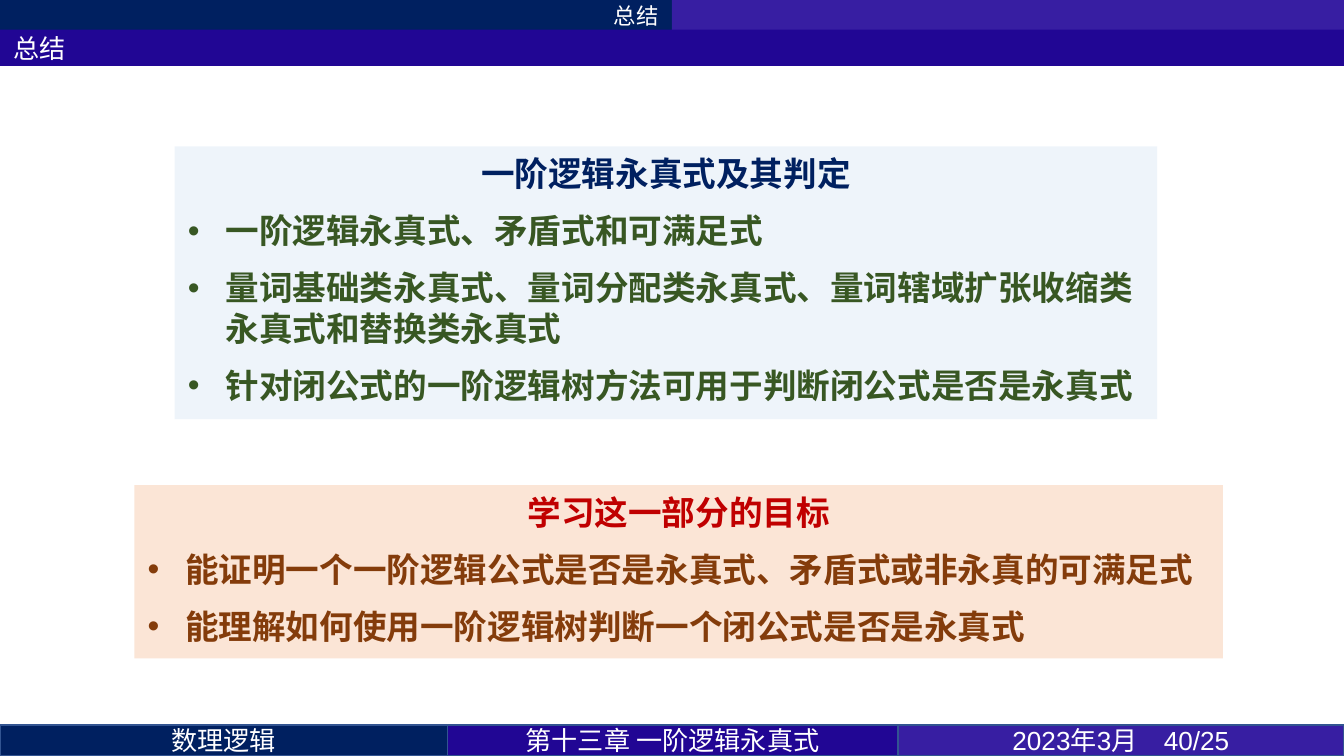
import pptx
import pptx.dml.color
import pptx.enum.lang
import pptx.enum.shapes
import pptx.enum.text
import pptx.oxml
import pptx.oxml.ns
import pptx.util
from pptx.util import Inches

THEME = {
    "navy": "002060", "indigo": "210694", "violet": "371EA2", "edge": "325491",
    "white": "FFFFFF", "sky": "DEEBF7", "peach": "FBE5D6",
    "green": "385723", "red": "C00000", "brown": "843C0B",
    "latin": "Calibri", "chinese": "Noto Sans CJK SC", "number": "Arial",
    "small": 12, "bar": 14, "body": 18, "line": 21.6, "gap": 4.5,
}
SLIDE_WIDTH = 10
SLIDE_HEIGHT = SLIDE_WIDTH * 9 / 16
BAR_HEIGHT, INDENT = 0.23, 0.28

# Content
HEADER = [
    # text, left, top, width, height, fill, alignment, font, size
    ("总结", 0, 0, 5, BAR_HEIGHT, "navy", "RIGHT", "chinese", "small"),
    ("", 5, 0, 5, BAR_HEIGHT, "violet", "LEFT", "chinese", "small"),
    ("总结", 0, 0.22, SLIDE_WIDTH, 0.27, "indigo", "LEFT", "latin", "bar"),
]
FOOTER = [
    ("数理逻辑", 3.33, "navy", "chinese"),
    ("第十三章 一阶逻辑永真式", 3.35, "indigo", "chinese"),
    ("2023年3月　40/25", 3.32, "violet", "number"),
]
CARDS = [
    {"box": (1.3, 1.09, 7.31, 2.03), "fill": "sky", "opacity": 50,
     "title": "一阶逻辑永真式及其判定", "title_color": "navy", "color": "green",
     "points": ["一阶逻辑永真式、矛盾式和可满足式",
                "量词基础类永真式、量词分配类永真式、量词辖域扩张收缩类永真式和替换类永真式",
                "针对闭公式的一阶逻辑树方法可用于判断闭公式是否是永真式"]},
    {"box": (1, 3.61, 8.1, 1.29), "fill": "peach", "opacity": 100,
     "title": "学习这一部分的目标", "title_color": "red", "color": "brown",
     "points": ["能证明一个一阶逻辑公式是否是永真式、矛盾式或非永真的可满足式",
                "能理解如何使用一阶逻辑树判断一个闭公式是否是永真式"]},
]


def rgb(name):
    return pptx.dml.color.RGBColor.from_string(THEME[name])


def apply(target, values):
    for name, value in values.items():
        setattr(target, name, value)


def add_box(slide, box, fill, edge=None):
    shape = slide.shapes.add_shape(
        pptx.enum.shapes.MSO_SHAPE.RECTANGLE, *map(Inches, box))
    shape.shadow.inherit = False
    shape.fill.solid()
    shape.fill.fore_color.rgb = rgb(fill)
    if edge:
        shape.line.color.rgb = rgb(edge)
        shape.line.width = pptx.util.Pt(1)
    else:
        shape.line.fill.background()
    shape.text_frame.word_wrap = True
    return shape


def write(paragraph, text, color, font, size, alignment, bold=False):
    paragraph.alignment = getattr(pptx.enum.text.PP_ALIGN, alignment)
    run = paragraph.add_run()
    run.text = text
    apply(run.font, {
        "name": THEME[font], "size": pptx.util.Pt(THEME[size]), "bold": bold,
        "language_id": pptx.enum.lang.MSO_LANGUAGE_ID.SIMPLIFIED_CHINESE})
    run.font.color.rgb = rgb(color)


def add_bar(slide, text, box, fill, alignment, font, size, edge=None):
    shape = add_box(slide, box, fill, edge)
    shape.text_frame.vertical_anchor = pptx.enum.text.MSO_ANCHOR.MIDDLE
    if text:
        write(shape.text_frame.paragraphs[0], text, "white", font, size, alignment)


def set_opacity(shape, percent):
    color = shape.fill._xPr.find(".//" + pptx.oxml.ns.qn("a:srgbClr"))
    alpha = color.makeelement(pptx.oxml.ns.qn("a:alpha"), {"val": str(percent * 1000)})
    color.append(alpha)


def add_bullet(paragraph):
    properties = paragraph._p.get_or_add_pPr()
    indent = Inches(INDENT)
    properties.set("marL", str(indent))
    properties.set("indent", str(-indent))
    for tag, name, value in (("a:buFont", "typeface", THEME["number"]),
                             ("a:buChar", "char", "•")):
        properties.append(properties.makeelement(pptx.oxml.ns.qn(tag), {name: value}))


def add_card(slide, card):
    shape = add_box(slide, card["box"], card["fill"])
    if card["opacity"] < 100:
        set_opacity(shape, card["opacity"])
    frame = shape.text_frame
    apply(frame, {"vertical_anchor": pptx.enum.text.MSO_ANCHOR.TOP,
                  "auto_size": pptx.enum.text.MSO_AUTO_SIZE.SHAPE_TO_FIT_TEXT})
    gap = pptx.util.Pt(THEME["gap"])
    spacing = {"space_after": gap, "line_spacing": pptx.util.Pt(THEME["line"])}

    title = frame.paragraphs[0]
    apply(title, spacing)
    write(title, card["title"], card["title_color"], "latin", "body", "CENTER", True)
    for point in card["points"]:
        paragraph = frame.add_paragraph()
        apply(paragraph, {**spacing, "space_before": gap})
        write(paragraph, point, card["color"], "chinese", "body", "LEFT", True)
        add_bullet(paragraph)


def main():
    presentation = pptx.Presentation()
    apply(presentation, {"slide_width": Inches(SLIDE_WIDTH),
                         "slide_height": Inches(SLIDE_HEIGHT)})
    slide = presentation.slides.add_slide(presentation.slide_layouts[6])

    # Summary cards
    for card in CARDS:
        add_card(slide, card)

    # Header bars
    for text, left, top, width, height, *style in HEADER:
        add_bar(slide, text, (left, top, width, height), *style)

    # Footer bars, side by side
    left = 0
    for text, width, fill, font in FOOTER:
        box = (left, SLIDE_HEIGHT - BAR_HEIGHT, width, BAR_HEIGHT)
        add_bar(slide, text, box, fill, "CENTER", font, "bar", "edge")
        left += width

    presentation.save("out.pptx")


if __name__ == "__main__":
    main()
